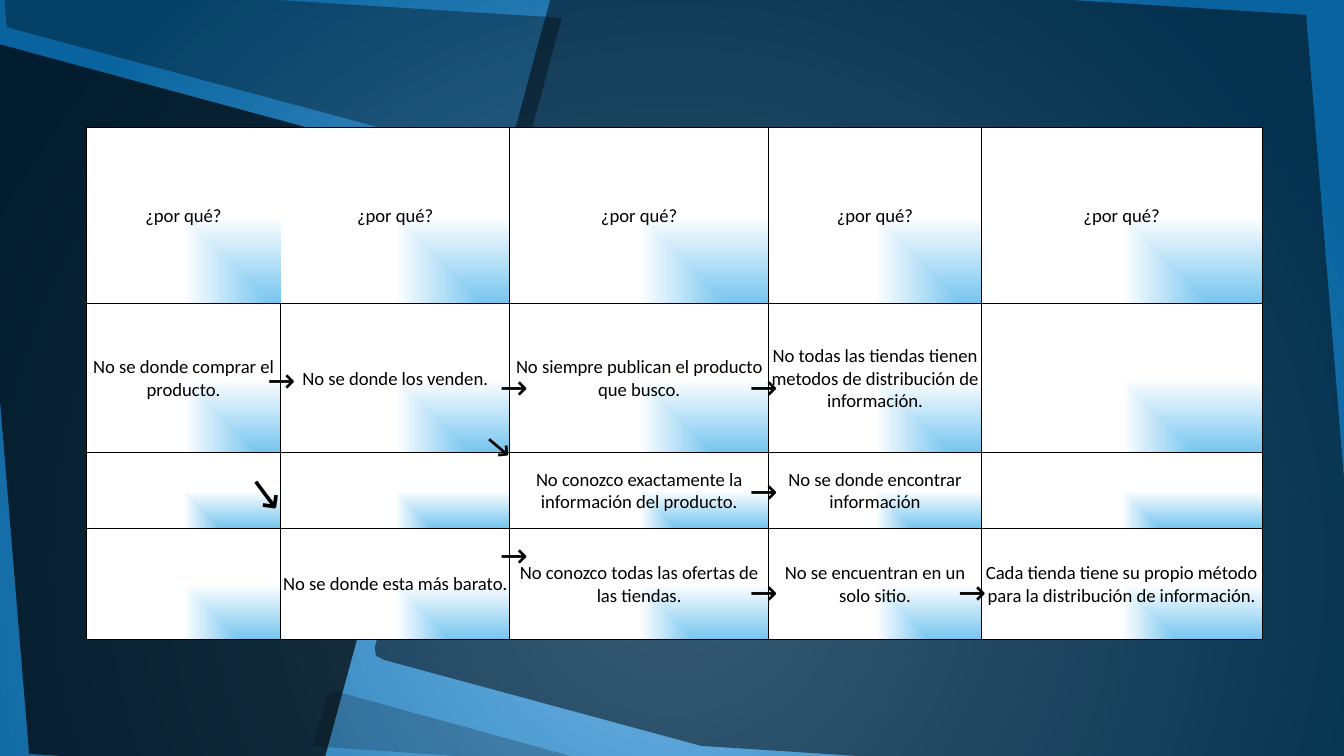
"""Build a slide with a five-whys table on a blue backdrop of dark panels."""
from math import cos, radians, sin

from pptx import Presentation
from pptx.dml.color import RGBColor
from pptx.enum.text import MSO_ANCHOR, MSO_AUTO_SIZE, PP_ALIGN
from pptx.oxml import parse_xml
from pptx.oxml.ns import nsdecls, qn
from pptx.util import Inches, Pt

MIDDLE = MSO_ANCHOR.MIDDLE
CENTER = PP_ALIGN.CENTER
FIT_SHAPE = MSO_AUTO_SIZE.SHAPE_TO_FIT_TEXT

SLIDE_SIZE = {"slide_width": Inches(10), "slide_height": Inches(10 * 9 / 16)}
COLORS = {"ink": "000000", "sky": "70B6E8", "ocean": "08639E", "glow": "76C5EF", "paper": "FFFFFF"}
PLAIN_TABLE_STYLE = "{2D5ABB26-0587-4C30-8999-92F81FD0307C}"
PANEL_TILT = 15.1

PANELS = [
    {"center": (1.03, 3.23), "opacity": 70, "outline": [
        (-0.22, 0.27), (3.51, 1.28), (3.57, 1.31), (3.58, 1.37), (2.39, 5.75), (0.22, 5.61)]},
    {"center": (2.07, 0.15), "opacity": 35, "outline": [
        (0.02, -0.13), (4.18, 0.13), (3.9, 1.17), (3.87, 1.21), (3.8, 1.21), (0.05, 0.2)]},
    {"center": (3.44, 5.63), "opacity": 20, "outline": [
        (2.49, 5.15), (2.53, 5.15), (4.53, 5.7), (2.33, 5.55), (2.43, 5.2), (2.45, 5.17)]},
    {"center": (7.19, 2.76), "opacity": 50, "outline": [
        (4.16, -0.24), (9.72, 0.11), (10.19, 5.87), (5.22, 5.55), (2.86, 4.91), (2.8, 4.88), (2.79, 4.82)]},
]

TABLE_LEFT, TABLE_TOP = 0.64, 0.95
COLUMN_WIDTHS = [1.45, 1.7, 1.93, 1.58, 2.09]
ROW_HEIGHTS = [1.31, 1.11, 0.56, 0.83]
ROWS = [
    ["¿por qué?"] * 5,
    ["No se donde comprar el producto.", "No se donde los venden.",
     "No siempre publican el producto que busco.",
     "No todas las tiendas tienen metodos de distribución de información.", ""],
    ["", "", "No conozco exactamente la información del producto.",
     "No se donde encontrar información", ""],
    ["", "No se donde esta más barato.", "No conozco todas las ofertas de las tiendas.",
     "No se encuentran en un solo sitio.",
     "Cada tienda tiene su propio método para la distribución de información."],
]
OPEN_SIDES = {(0, 0): "R", (0, 1): "L"}
CELL_FORMAT = {
    "vertical_anchor": MIDDLE, "margin_left": Inches(0.01), "margin_right": Inches(0.01),
    "margin_top": Inches(0.01), "margin_bottom": 0,
}

FLAT_ARROWS = [(1.89, 2.62), (3.62, 2.67), (5.48, 2.67), (5.48, 3.45),
               (3.62, 3.92), (5.48, 4.2), (7.03, 4.2)]
ARROWS = [(left, top, 0.45, 0.4, 0, 18) for left, top in FLAT_ARROWS] + [
    (3.51, 3.14, 0.49, 0.4, 40.2, 18),
    (1.69, 3.56, 0.84, 0.5, 53.3, 24),
]


def rgb(name):
    return RGBColor.from_string(COLORS[name])


def apply_format(target, values):
    for name, value in values.items():
        setattr(target, name, value)


def write(para, text, font, size):
    span = para.add_run()
    span.text = text
    apply_format(span.font, {"name": font, "size": Pt(size)})
    span.font.color.rgb = rgb("ink")


def fill_path_gradient(fill, element, names, shape, focus):
    fill.gradient()
    for stop, name, position in zip(fill.gradient_stops, names, (0, 1)):
        stop.position = position
        stop.color.rgb = rgb(name)
    gradient = element.find(".//" + qn("a:gradFill"))
    sides = " ".join(f'{side}="{percent * 1000}"' for side, percent in zip("ltrb", focus))
    gradient.replace(gradient.find(qn("a:lin")), parse_xml(
        f'<a:path {nsdecls("a")} path="{shape}"><a:fillToRect {sides}/></a:path>'))


def add_panel(page, center, opacity, outline):
    turn = radians(-PANEL_TILT)
    points = []
    for x, y in outline:
        dx, dy = x - center[0], y - center[1]
        points.append((Inches(center[0] + dx * cos(turn) - dy * sin(turn)),
                       Inches(center[1] + dx * sin(turn) + dy * cos(turn))))
    builder = page.shapes.build_freeform(*points[0])
    builder.add_line_segments(points[1:], close=True)
    panel = builder.convert_to_shape()
    panel.rotation = PANEL_TILT
    panel.shadow.inherit = False
    panel.line.fill.background()
    panel.fill.solid()
    panel.fill.fore_color.rgb = rgb("ink")
    color = panel.element.spPr.find(".//" + qn("a:srgbClr"))
    color.append(parse_xml(f'<a:alpha {nsdecls("a")} val="{opacity * 1000}"/>'))


def add_borders(cell, open_side):
    properties = cell._tc.get_or_add_tcPr()
    sides = [side for side in "LRTB" if side != open_side]
    for index, side in enumerate(sides):
        properties.insert(index, parse_xml(
            f'<a:ln{side} {nsdecls("a")} w="{Pt(0.5)}"><a:solidFill>'
            f'<a:srgbClr val="{COLORS["ink"]}"/></a:solidFill></a:ln{side}>'))


def add_reasons_table(page):
    frame = page.shapes.add_table(
        len(ROWS), len(COLUMN_WIDTHS), Inches(TABLE_LEFT), Inches(TABLE_TOP),
        Inches(sum(COLUMN_WIDTHS)), Inches(sum(ROW_HEIGHTS)))
    table = frame.table
    apply_format(table, {"first_row": False, "horz_banding": False})
    frame.element.find(".//" + qn("a:tableStyleId")).text = PLAIN_TABLE_STYLE
    for column, width in zip(table.columns, COLUMN_WIDTHS):
        column.width = Inches(width)
    for row, height in zip(table.rows, ROW_HEIGHTS):
        row.height = Inches(height)
    for row_index, texts in enumerate(ROWS):
        for column_index, text in enumerate(texts):
            cell = table.cell(row_index, column_index)
            apply_format(cell, CELL_FORMAT)
            fill_path_gradient(cell.fill, cell._tc, ("glow", "paper"), "rect", (100, 100, 0, 0))
            add_borders(cell, OPEN_SIDES.get((row_index, column_index)))
            para = cell.text_frame.paragraphs[0]
            para.alignment = CENTER
            if text:
                write(para, text, "Calibri", 10)


def add_arrow(page, left, top, width, height, rotation, size):
    box = page.shapes.add_textbox(*map(Inches, (left, top, width, height)))
    box.rotation = rotation
    apply_format(box.text_frame, {"word_wrap": rotation != 0, "auto_size": FIT_SHAPE})
    write(box.text_frame.paragraphs[0], "→", "Roboto Slab", size)


def main():
    deck = Presentation()
    apply_format(deck, SLIDE_SIZE)
    page = deck.slides.add_slide(deck.slide_layouts[6])
    fill_path_gradient(page.background.fill, page.element, ("sky", "ocean"), "circle", (50, 50, 50, 0))
    for panel in PANELS:
        add_panel(page, **panel)
    add_reasons_table(page)
    for arrow in ARROWS:
        add_arrow(page, *arrow)
    deck.save("out.pptx")


if __name__ == "__main__":
    main()
